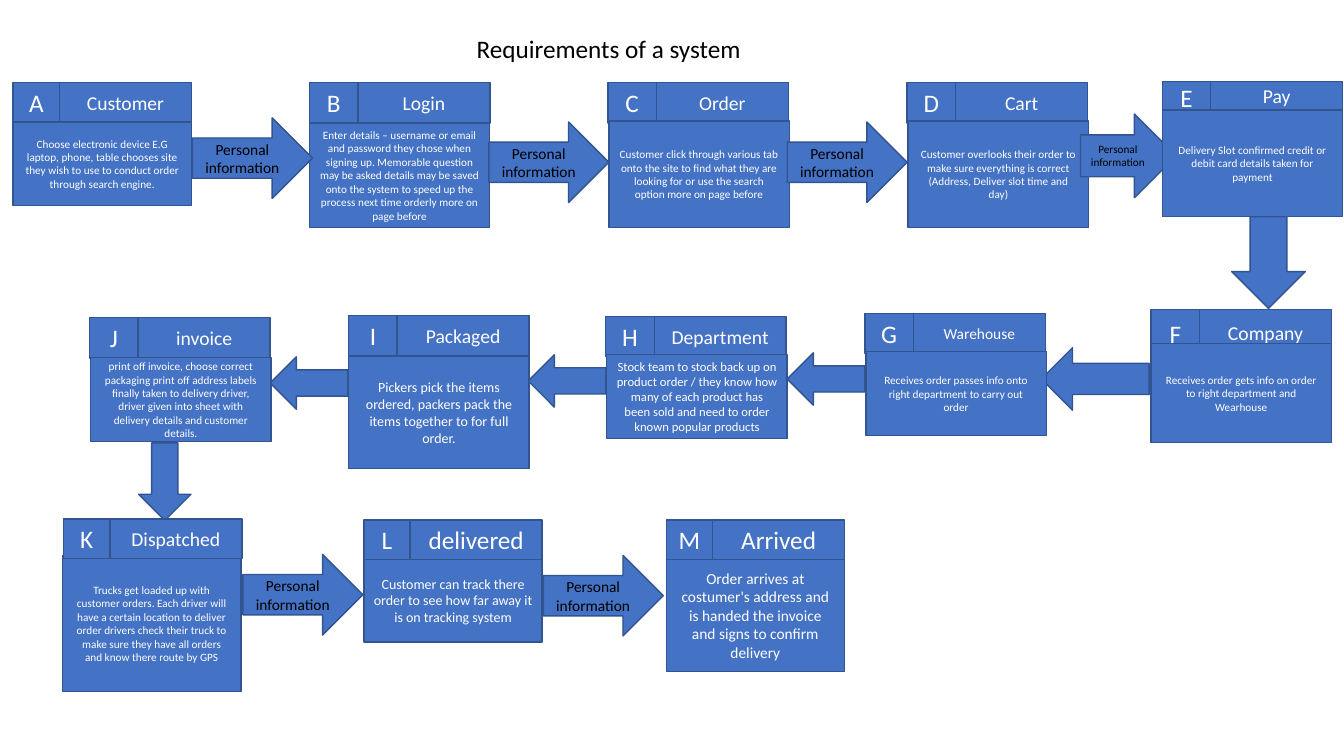
"""Build the process flow slide showing the requirements of an ordering system."""
from dataclasses import dataclass

from pptx import Presentation
from pptx.dml.color import RGBColor
from pptx.enum.shapes import MSO_SHAPE
from pptx.enum.text import MSO_ANCHOR, PP_ALIGN
from pptx.slide import Slide
from pptx.util import Pt

RECTANGLE = MSO_SHAPE.RECTANGLE
RIGHT = MSO_SHAPE.RIGHT_ARROW
LEFT = MSO_SHAPE.LEFT_ARROW
DOWN = MSO_SHAPE.DOWN_ARROW
CENTER = PP_ALIGN.CENTER
MIDDLE = MSO_ANCHOR.MIDDLE

COLORS = {"fill": "4472C4", "line": "325491", "light": "FFFFFF", "dark": "000000"}
FONT = "Calibri"
LETTER_SIZE = 18
TITLE_WIDTH = 94.3
DATA = "Personal information"


@dataclass(frozen=True)
class Frame:
    letter_width: float
    body_width: float
    header_in_front: bool


NARROW = Frame(33.1, 127.4, True)
WIDE = Frame(34.6, 128.9, False)


@dataclass(frozen=True)
class Step:
    letter: str
    title: str
    body: str
    left: float
    top: float
    body_top: float
    body_height: float
    body_shift: float = 0
    header_height: float = 28.8
    letter_height: float = 28.8
    title_size: float = 14
    body_size: float = 8
    frame: Frame = WIDE


@dataclass(frozen=True)
class Flow:
    kind: MSO_SHAPE
    left: float
    top: float
    width: float
    height: float
    label: str = ""
    size: float = 11


def data_flow(left: float, top: float) -> Flow:
    return Flow(RIGHT, left, top, 85.7, 57.6, DATA)


def stock_flow(left: float, top: float) -> Flow:
    return Flow(LEFT, left, top, 55.4, 37.4)


PROCESS = [
    Step("A", "Customer",
         "Choose electronic device E.G laptop, phone, table chooses site they wish to use "
         "to conduct order through search engine.",
         9.4, 59, 87.1, 59.8, header_height=28.1, letter_height=28.1, frame=NARROW),
    Step("B", "Login",
         "Enter details – username or email and password they chose when signing up. "
         "Memorable question may be asked details may be saved onto the system to speed up "
         "the process next time orderly more on page before",
         221, 59, 87.8, 74.9),
    data_flow(137.5, 84.2),
    Step("C", "Order",
         "Customer click through various tab onto the site to find what they are looking "
         "for or use the search option more on page before",
         434.2, 59, 86.4, 76.3, 0.7),
    data_flow(349.2, 87.1),
    Step("D", "Cart",
         "Customer overlooks their order to make sure everything is correct "
         "(Address, Deliver slot time and day)",
         648, 59, 86.4, 76.3, 0.7),
    data_flow(562.3, 87.1),
    Flow(RIGHT, 771.8, 81.4, 68.4, 59.8, DATA, 8),
    Step("E", "Pay",
         "Delivery Slot confirmed credit or debit card details taken for payment",
         830.2, 58.3, 78.5, 76.3, header_height=20.2, letter_height=23),
    Flow(DOWN, 879.8, 154.8, 52.6, 65.5),
    Step("F", "Company",
         "Receives order gets info on order to right department and Wearhouse",
         822.2, 221, 245.5, 70.6, header_height=33.8, letter_height=33.8),
    Flow(LEFT, 743.8, 248.4, 77, 44.6),
    Step("G", "Warehouse",
         "Receives order passes info onto right department to carry out order",
         617.8, 223.9, 251.3, 59.8, 0.7, title_size=11),
    stock_flow(562.3, 252),
    Step("H", "Department",
         "Stock team to stock back up on product order / they know how many of each product "
         "has been sold and need to order known popular products",
         432.7, 226.1, 253.4, 59.8, 0.7, body_size=9),
    stock_flow(377.3, 253.4),
    Step("I", "Packaged",
         "Pickers pick the items ordered, packers pack the items together to for full order.",
         249.1, 225.4, 254.2, 80.6, body_size=10),
    stock_flow(193, 254.9),
    Step("J", "invoice",
         "print off invoice, choose correct packaging print off address labels finally taken "
         "to delivery driver, driver given into sheet with delivery details and customer details.",
         64.1, 227, 255.6, 59.8, 0.7),
    Flow(DOWN, 99, 316.4, 37.4, 55.4),
    Step("K", "Dispatched",
         "Trucks get loaded up with customer orders. Each driver will have a certain location "
         "to deliver order drivers check their truck to make sure they have all orders and know "
         "there route by GPS",
         45.4, 370.8, 396.7, 97.2, -0.7, 28.1, 28.1, frame=NARROW),
    data_flow(173.5, 396),
    Step("L", "delivered",
         "Customer can track there order to see how far away it is on tracking system",
         259.9, 371.5, 398.9, 59.8, 0, 28.1, 28.1, 18, 10, NARROW),
    data_flow(388.1, 396.7),
    Step("M", "Arrived",
         "Order arrives at costumer's address and is handed the invoice and signs to "
         "confirm delivery",
         475.9, 371.5, 398.9, 80.6, 0, 28.1, 28.1, 18, 11, NARROW),
]


def draw_block(slide: Slide, kind: MSO_SHAPE, left: float, top: float, width: float,
               height: float, text: str, size: float, color: str = "light") -> None:
    block = slide.shapes.add_shape(kind, Pt(left), Pt(top), Pt(width), Pt(height))
    block.shadow.inherit = False
    block.fill.solid()
    block.fill.fore_color.rgb = RGBColor.from_string(COLORS["fill"])
    block.line.color.rgb = RGBColor.from_string(COLORS["line"])
    block.line.width = Pt(1)
    if text:
        frame = block.text_frame
        frame.word_wrap = True
        frame.vertical_anchor = MIDDLE
        write(frame.paragraphs[0], text, size, color)
        frame.paragraphs[0].alignment = CENTER


def write(paragraph, text: str, size: float, color: str) -> None:
    paragraph.text = text
    paragraph.font.name = FONT
    paragraph.font.size = Pt(size)
    paragraph.font.color.rgb = RGBColor.from_string(COLORS[color])


def draw_step(slide: Slide, step: Step) -> None:
    frame = step.frame
    header = [
        (step.left, step.top, frame.letter_width, step.letter_height,
         step.letter, LETTER_SIZE),
        (step.left + frame.letter_width, step.top, TITLE_WIDTH, step.header_height,
         step.title, step.title_size),
    ]
    body = [(step.left + step.body_shift, step.body_top, frame.body_width,
             step.body_height, step.body, step.body_size)]
    for part in body + header if frame.header_in_front else header + body:
        draw_block(slide, RECTANGLE, *part)


def draw_flow(slide: Slide, flow: Flow) -> None:
    draw_block(slide, flow.kind, flow.left, flow.top, flow.width, flow.height,
               flow.label, flow.size, "dark")


def main() -> None:
    deck = Presentation()
    deck.slide_width, deck.slide_height = Pt(960), Pt(540)
    slide = deck.slides.add_slide(deck.slide_layouts[6])
    heading = slide.shapes.add_textbox(Pt(333.4), Pt(20.2), Pt(216), Pt(28.8)).text_frame
    heading.word_wrap = True
    write(heading.paragraphs[0], "Requirements of a system", 18, "dark")
    for part in PROCESS:
        if isinstance(part, Step):
            draw_step(slide, part)
        else:
            draw_flow(slide, part)
    deck.save("out.pptx")


if __name__ == "__main__":
    main()
